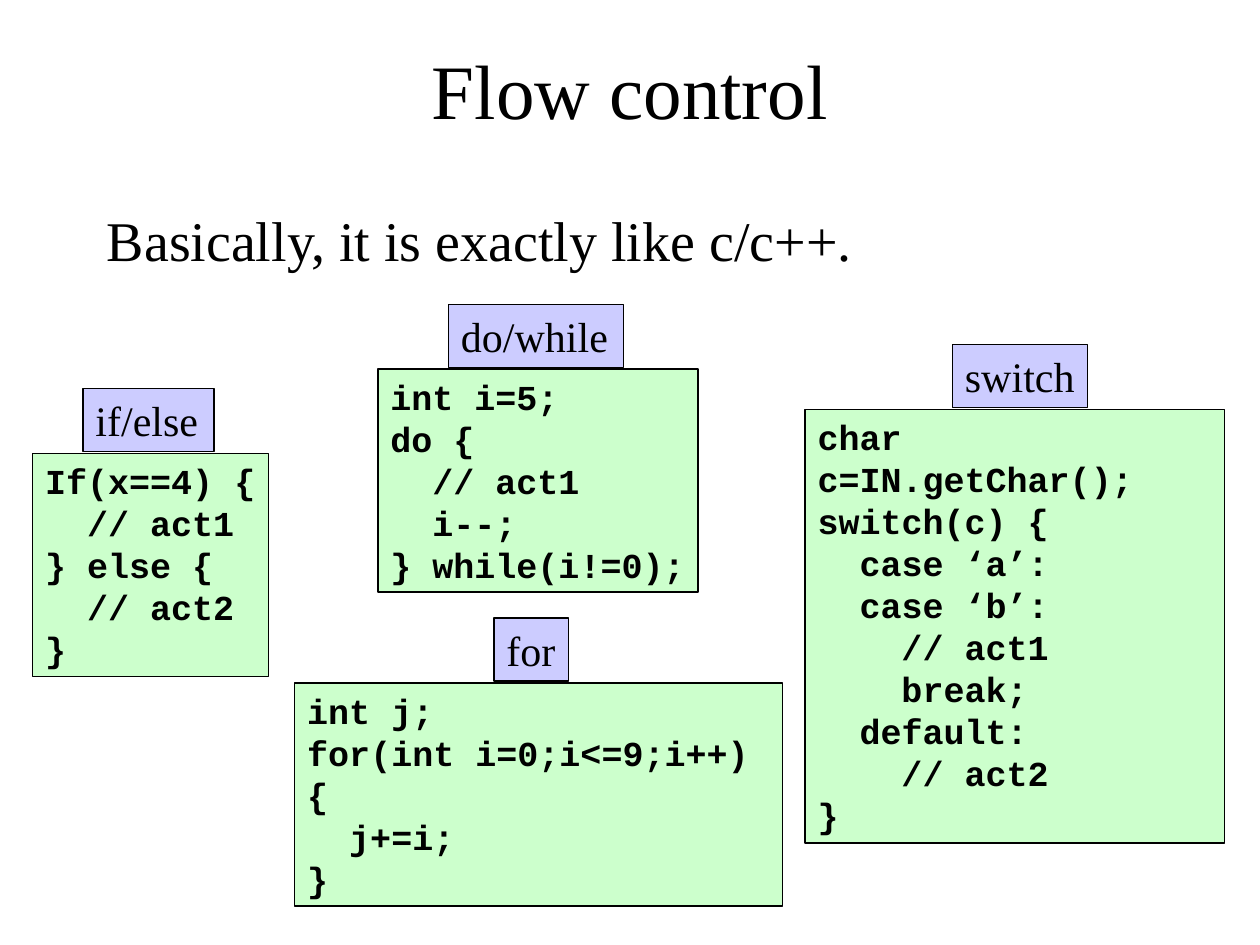
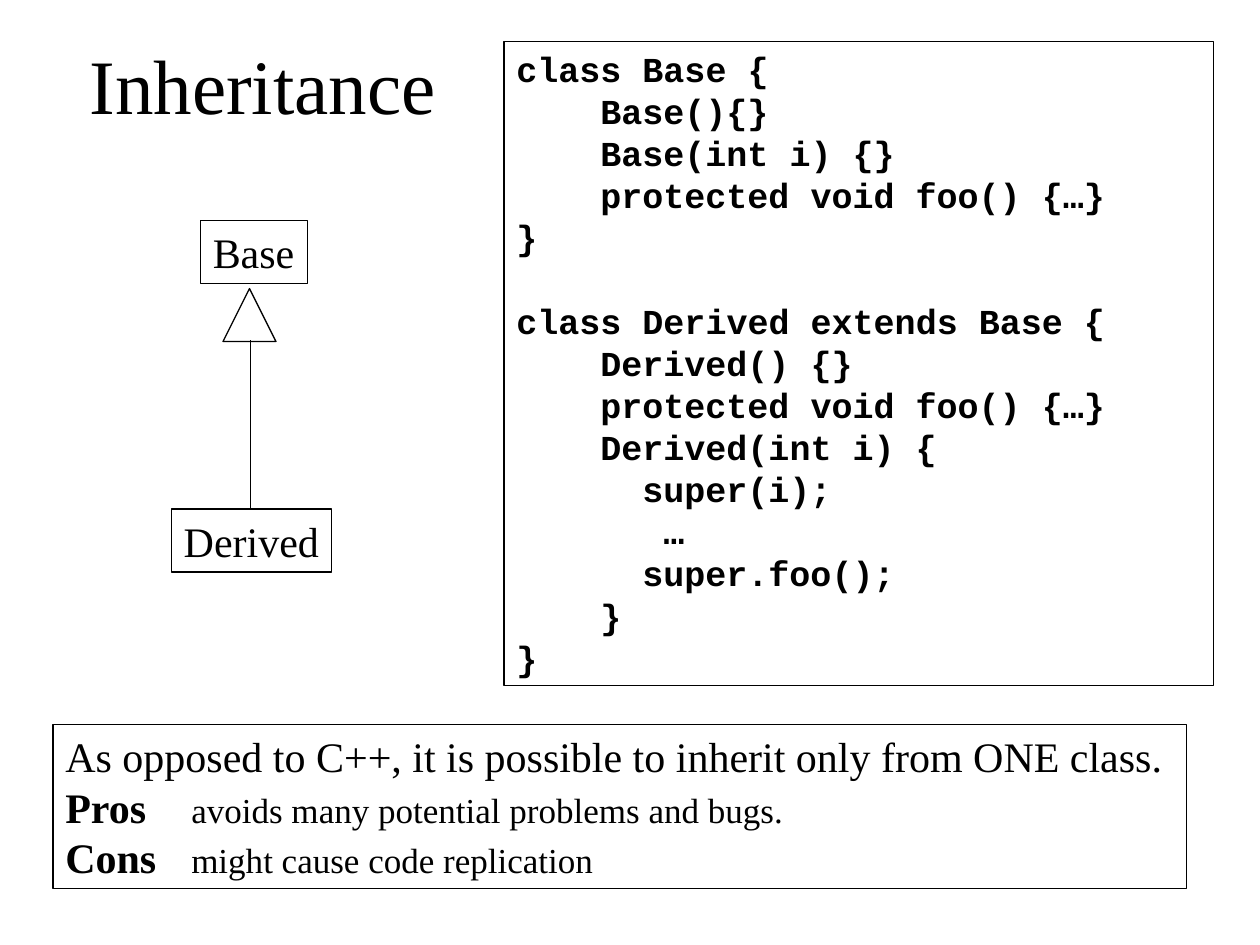
from lxml.etree import SubElement
from pptx import Presentation
from pptx.dml.color import RGBColor
from pptx.enum.shapes import MSO_CONNECTOR as Connector, MSO_SHAPE as Preset
from pptx.enum.text import MSO_ANCHOR as Anchor, MSO_AUTO_SIZE as AutoSize, PP_ALIGN as Align
from pptx.oxml.ns import qn
from pptx.util import Emu, Inches, Pt

SLIDE_W, SLIDE_H = Inches(10), Inches(7.5)
COLUMN, ROW = SLIDE_W / 100, SLIDE_H / 75
INK, TAG_FILL, CODE_FILL = "000000", "CCCCFF", "CCFFCC"
SERIF, MONO = "Times New Roman", "Courier New"
CODE_SIZE, LABEL_SIZE, TITLE_SIZE = 20, 24, 44
CODE_CHAR = 0.6 * CODE_SIZE
CODE_LINE = 1.2 * CODE_SIZE
TAG_ROWS = 5

FLOW_PANELS = [
    ("if/else", 6.6, 10.4, (2.6, 36, 18.7), 5, False, """\
If(x==4) {
  // act1
} else {
  // act2
}"""),
    ("do/while", 35.6, 13.9, (30, 29.3, 25.4), 5, False, """\
int i=5;
do {
  // act1
  i--;
} while(i!=0);"""),
    ("for", 39.2, 5.9, (23.4, 54.2, 38.7), 5, False, """\
int j;
for(int i=0;i<=9;i++)
{
  j+=i;
}"""),
    ("switch", 75.6, 10.7, (63.9, 32.5, 33.3), 10, True, """\
char c=IN.getChar();
switch(c) {
  case ‘a’:
  case ‘b’:
    // act1
    break;
  default:
    // act2
}"""),
]

INHERITANCE_CODE = """\
class Base {
    Base(){}
    Base(int i) {}
    protected void foo() {…}
}

class Derived extends Base {
    Derived() {}
    protected void foo() {…}
    Derived(int i) {
      super(i);
       …
      super.foo();
    }
}"""


def colour(hex_code):
    """Turn a hex string into a colour."""
    return RGBColor.from_string(hex_code)


def place(left, top, width, height):
    """Turn grid columns and rows into slide lengths."""
    return [Emu(round(n * unit)) for n, unit in
            zip((left, top, width, height), (COLUMN, ROW, COLUMN, ROW))]


def add_run(paragraph, text, size, font=SERIF, bold=False):
    """Append one styled run."""
    run = paragraph.add_run()
    run.text = text
    run.font.name, run.font.size, run.font.bold = font, Pt(size), bold
    run.font.color.rgb = colour(INK)


def add_heading(slide, area, text, size=TITLE_SIZE, align=Align.CENTER, anchor=Anchor.MIDDLE, before=0):
    """Add an unframed line of text."""
    frame = slide.shapes.add_textbox(*place(*area)).text_frame
    frame.word_wrap, frame.vertical_anchor = True, anchor
    paragraph = frame.paragraphs[0]
    paragraph.alignment, paragraph.space_before = align, Pt(before)
    add_run(paragraph, text, size)


def add_outline(slide, preset, area, fill=None):
    """Add a thin-lined shape, hollow unless a fill is given."""
    outline = slide.shapes.add_shape(preset, *place(*area))
    outline.shadow.inherit = False
    if fill:
        outline.fill.solid()
        outline.fill.fore_color.rgb = colour(fill)
    else:
        outline.fill.background()
    outline.line.color.rgb, outline.line.width = colour(INK), Pt(0.75)
    return outline


def add_panel(slide, area, fill=None, wrap=False):
    """Add a framed box and return its text frame."""
    frame = add_outline(slide, Preset.RECTANGLE, area, fill).text_frame
    frame.word_wrap, frame.vertical_anchor = wrap, Anchor.TOP
    frame.auto_size = AutoSize.SHAPE_TO_FIT_TEXT
    return frame


def next_paragraph(frame):
    """Return the unused first paragraph or a new one, aligned left."""
    first = frame.paragraphs[0]
    paragraph = frame.add_paragraph() if first.runs else first
    paragraph.alignment = Align.LEFT
    return paragraph


def add_label(slide, area, text, fill=None):
    """Add a small framed name."""
    add_run(next_paragraph(add_panel(slide, area, fill)), text, LABEL_SIZE)


def add_code(slide, corner, rows, code, fill=None, wrap=False):
    """Add a code listing, with indents and line gaps set as paragraph spacing."""
    left, top, width = corner
    frame = add_panel(slide, (left, top, width, 1 + 3.34 * rows), fill, wrap)
    gap = 0
    for line in code.split("\n"):
        statement = line.lstrip()
        if not statement:
            gap += CODE_LINE
            continue
        paragraph = next_paragraph(frame)
        paragraph.space_before = Pt(gap)
        indent = Pt(CODE_CHAR * (len(line) - len(statement)))
        properties = paragraph._p.get_or_add_pPr()
        properties.set("marL", str(indent))
        properties.set("indent", "0")
        add_run(paragraph, statement, CODE_SIZE, MONO, True)
        gap = 0


def add_stem(slide, column, start_row, end_row):
    """Draw the vertical line of the inheritance arrow."""
    x, start, _, _ = place(column, start_row, 0, 0)
    end = place(column, end_row, 0, 0)[1]
    stem = slide.shapes.add_connector(Connector.STRAIGHT, x, start, x, end)
    stem.line.color.rgb, stem.line.width = colour(INK), Pt(0.75)
    SubElement(stem._element.spPr, qn("a:effectLst"))


def add_verdict(frame, term, reason):
    """Add a bold term and its reason at a tab stop."""
    paragraph = next_paragraph(frame)
    stops = SubElement(paragraph._p.get_or_add_pPr(), qn("a:tabLst"))
    SubElement(stops, qn("a:tab"), pos=str(Inches(1)), algn="l")
    add_run(paragraph, term + "\t", LABEL_SIZE, bold=True)
    add_run(paragraph, reason, CODE_SIZE)


def build_flow_control(slide):
    """Compose the flow control slide."""
    add_heading(slide, (7.5, 3.3, 85, 7.5), "Flow control")
    add_heading(slide, (7.5, 15.8, 85, 7.5), "Basically, it is exactly like c/c++.",
                32, Align.LEFT, Anchor.TOP, 8)
    for keyword, tag_left, tag_width, corner, rows, wrap, code in FLOW_PANELS:
        tag_top = corner[1] - TAG_ROWS - 0.15
        add_label(slide, (tag_left, tag_top, tag_width, TAG_ROWS), keyword, TAG_FILL)
        add_code(slide, corner, rows, code, CODE_FILL, wrap)


def build_inheritance(slide):
    """Compose the inheritance slide."""
    add_heading(slide, (2.5, 2.5, 36.7, 8.3), "Inheritance")
    add_label(slide, (15.9, 17.5, 8.5, TAG_ROWS), "Base")
    add_label(slide, (13.6, 40.4, 12.7, TAG_ROWS), "Derived")
    arrowhead = add_outline(slide, Preset.UP_ARROW, (17.7, 22.9, 4.2, 4.2))
    arrowhead.adjustments[0], arrowhead.adjustments[1] = 0.56, 1
    add_stem(slide, 19.9, 40.4, 27)
    add_code(slide, (40, 3.3, 56.3), 15, INHERITANCE_CODE, wrap=True)
    remarks = add_panel(slide, (4.2, 57.5, 90, 13), wrap=True)
    add_run(next_paragraph(remarks),
            "As opposed to C++, it is possible to inherit only from ONE class.", LABEL_SIZE)
    add_verdict(remarks, "Pros", "avoids many potential problems and bugs.")
    add_verdict(remarks, "Cons", "might cause code replication")


def main():
    """Build and save the deck."""
    deck = Presentation()
    deck.slide_width, deck.slide_height = SLIDE_W, SLIDE_H
    for build in (build_flow_control, build_inheritance):
        build(deck.slides.add_slide(deck.slide_layouts[6]))
    deck.save("out.pptx")


if __name__ == "__main__":
    main()
